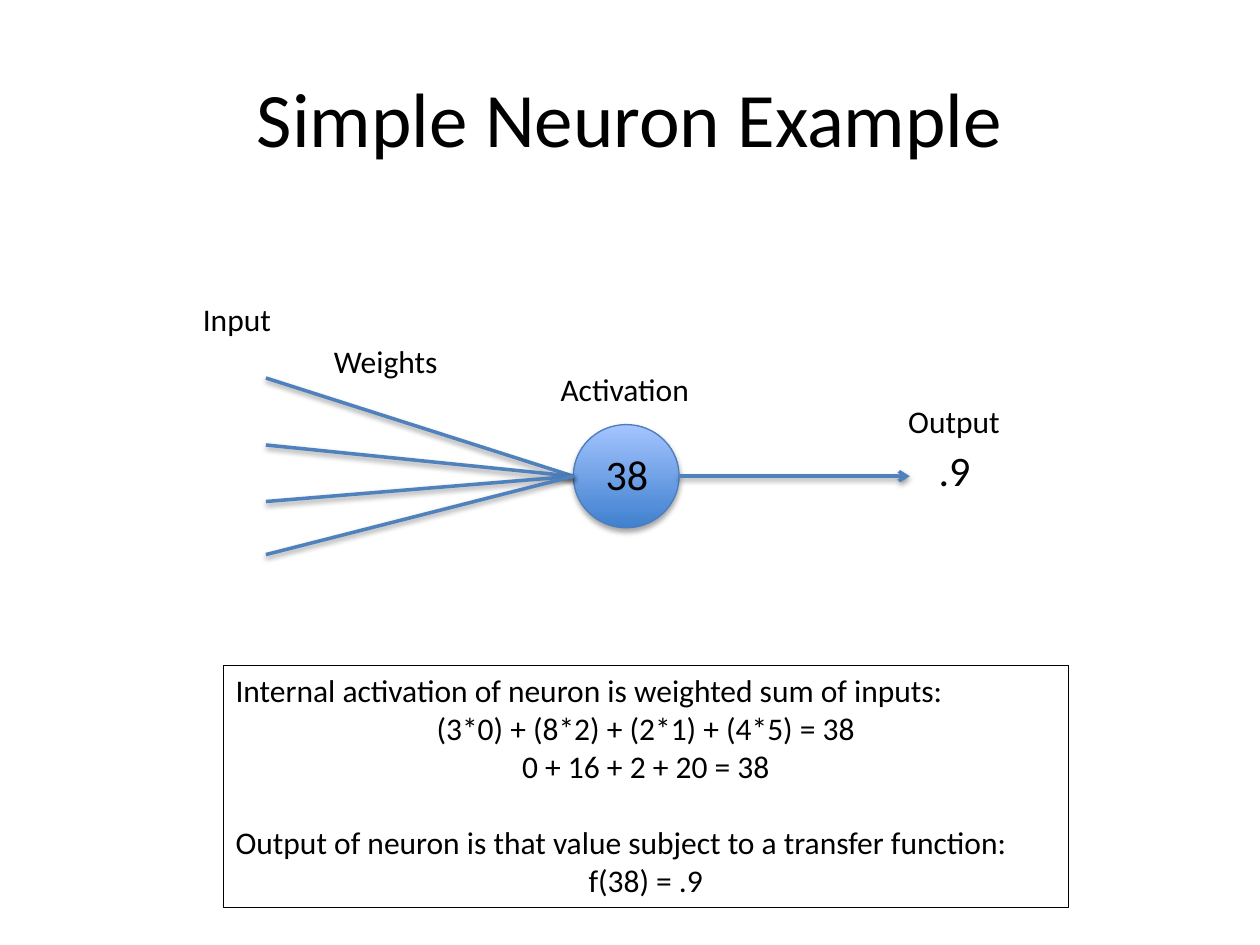
from lxml import etree
from pptx import Presentation
from pptx.dml.color import RGBColor
from pptx.enum.shapes import MSO_CONNECTOR, MSO_SHAPE
from pptx.enum.text import MSO_ANCHOR, PP_ALIGN
from pptx.oxml import parse_xml
from pptx.oxml.ns import nsdecls, qn
from pptx.util import Cm, Pt

STRAIGHT = MSO_CONNECTOR.STRAIGHT
OVAL, RECTANGLE = MSO_SHAPE.OVAL, MSO_SHAPE.RECTANGLE
MIDDLE, TOP = MSO_ANCHOR.MIDDLE, MSO_ANCHOR.TOP
LEFT, CENTER = PP_ALIGN.LEFT, PP_ALIGN.CENTER

BLACK = RGBColor(0x00, 0x00, 0x00)
LINE_BLUE = RGBColor(0x4F, 0x81, 0xBD)
RIM_BLUE = RGBColor(0x4B, 0x7E, 0xBC)
DEEP_BLUE = RGBColor(0x3F, 0x80, 0xCE)
PALE_BLUE = RGBColor(0xA4, 0xC4, 0xFF)
FONT = "Calibri"


def format_text(paragraph, size, alignment):
    paragraph.alignment = alignment
    for run in paragraph.runs:
        run.font.name = FONT
        run.font.size = Pt(size)
        run.font.color.rgb = BLACK


def add_shadow(shape_properties, distance, opacity):
    for old_effects in shape_properties.findall(qn("a:effectLst")):
        shape_properties.remove(old_effects)
    shape_properties.append(parse_xml(
        f'<a:effectLst {nsdecls("a")}>'
        f'<a:outerShdw blurRad="40000" dist="{distance}" dir="5400000" rotWithShape="0">'
        f'<a:srgbClr val="000000"><a:alpha val="{opacity}"/></a:srgbClr>'
        '</a:outerShdw></a:effectLst>'))


prs = Presentation()
prs.slide_width, prs.slide_height = Cm(25.4), Cm(19.05)
slide = prs.slides.add_slide(prs.slide_layouts[5])
shapes = slide.shapes

title = shapes.title
title.left, title.top, title.width, title.height = Cm(1.27), Cm(0.76), Cm(22.86), Cm(3.18)
title.text_frame.text = "Simple Neuron Example"
title.text_frame.vertical_anchor = MIDDLE
format_text(title.text_frame.paragraphs[0], 44, CENTER)

neuron = shapes.add_shape(OVAL, Cm(11.56), Cm(8.56), Cm(2.13), Cm(2.08))
neuron.fill.gradient()
neuron.fill.gradient_angle = 90
for stop, color in zip(neuron.fill.gradient_stops, (DEEP_BLUE, PALE_BLUE)):
    stop.color.rgb = color
neuron.line.color.rgb = RIM_BLUE
neuron.line.width = Pt(0.75)
add_shadow(neuron._element.spPr, 23000, 35000)

neuron_middle = 9.6
links = [(5.36, input_y, 11.56) for input_y in (7.62, 8.97, 10.11, 11.18)]
links.append((13.69, neuron_middle, 18.34))
for start_x, start_y, end_x in links:
    link = shapes.add_connector(
        STRAIGHT, Cm(start_x), Cm(start_y), Cm(end_x), Cm(neuron_middle))
    link.line.color.rgb = LINE_BLUE
    link.line.width = Pt(2)
    add_shadow(link._element.spPr, 20000, 38000)
output_line = link.line._get_or_add_ln()
etree.SubElement(output_line, qn("a:tailEnd"), type="arrow")

explanation = shapes.add_shape(RECTANGLE, Cm(4.5), Cm(13.41), Cm(17.04), Cm(4.88))
explanation.shadow.inherit = False
explanation.fill.background()
explanation.line.color.rgb = BLACK
explanation.line.width = Pt(0.75)
explanation_frame = explanation.text_frame
explanation_frame.word_wrap = True
explanation_frame.vertical_anchor = TOP
explanation_lines = [
    ("Internal activation of neuron is weighted sum of inputs:", LEFT, 0),
    ("(3*0) + (8*2) + (2*1) + (4*5) = 38", CENTER, 0),
    ("0 + 16 + 2 + 20 = 38", CENTER, 0),
    ("Output of neuron is that value subject to a transfer function:", LEFT, 22),
    ("f(38) = .9", CENTER, 0),
]
explanation_frame.text = "\n".join(line[0] for line in explanation_lines)
for paragraph, (_, alignment, gap) in zip(explanation_frame.paragraphs, explanation_lines):
    paragraph.space_before = Pt(gap)
    format_text(paragraph, 18, alignment)

labels = [
    ("38", 11.96, 8.92, 1.45, 2.06, 24),
    (".9", 18.67, 8.84, 1.63, 1.27, 24),
    ("Input", 3.84, 5.92, 2.64, 1.02, 18),
    ("Weights", 6.48, 6.78, 2.64, 1.02, 18),
    ("Activation", 11.05, 7.34, 3.2, 1.02, 18),
    ("Output", 18.06, 7.98, 3.2, 1.02, 18),
]
for text, left, top, width, height, size in labels:
    label = shapes.add_textbox(Cm(left), Cm(top), Cm(width), Cm(height))
    label.text_frame.word_wrap = True
    label.text_frame.text = text
    format_text(label.text_frame.paragraphs[0], size, LEFT)

prs.save("out.pptx")
